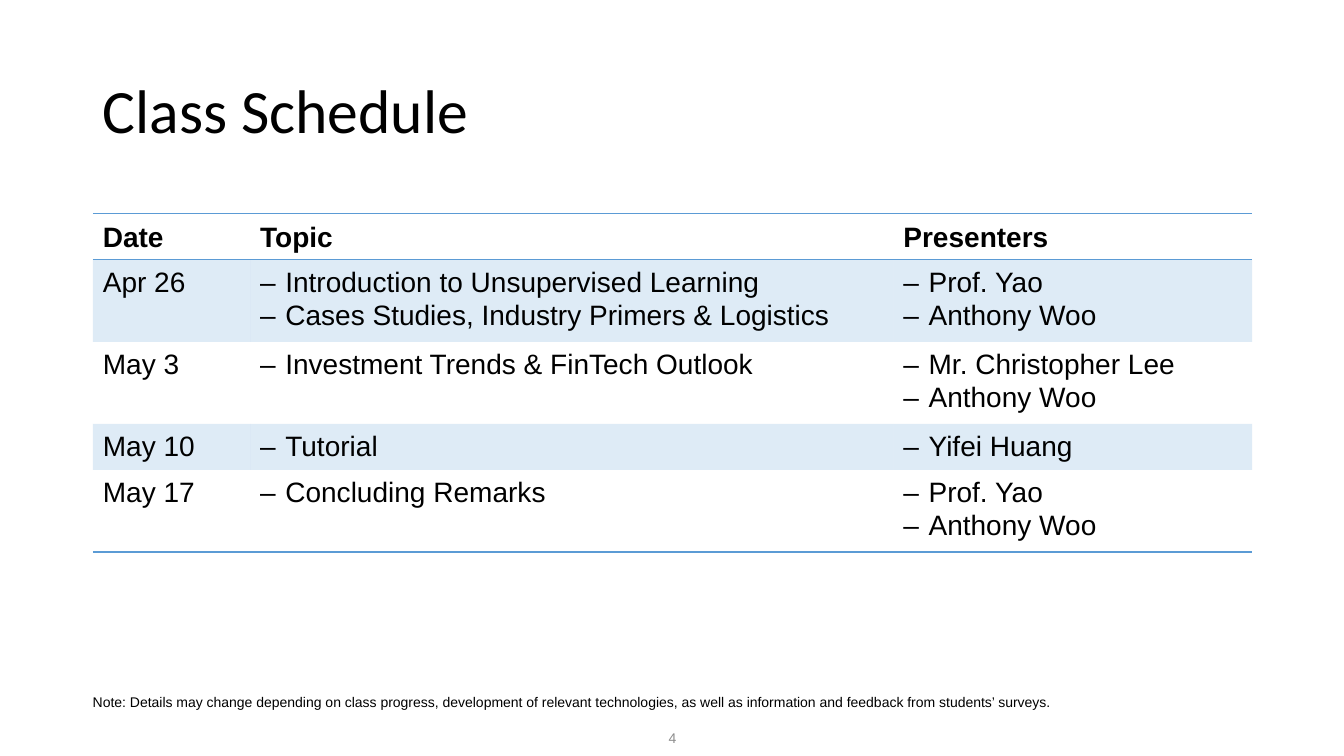
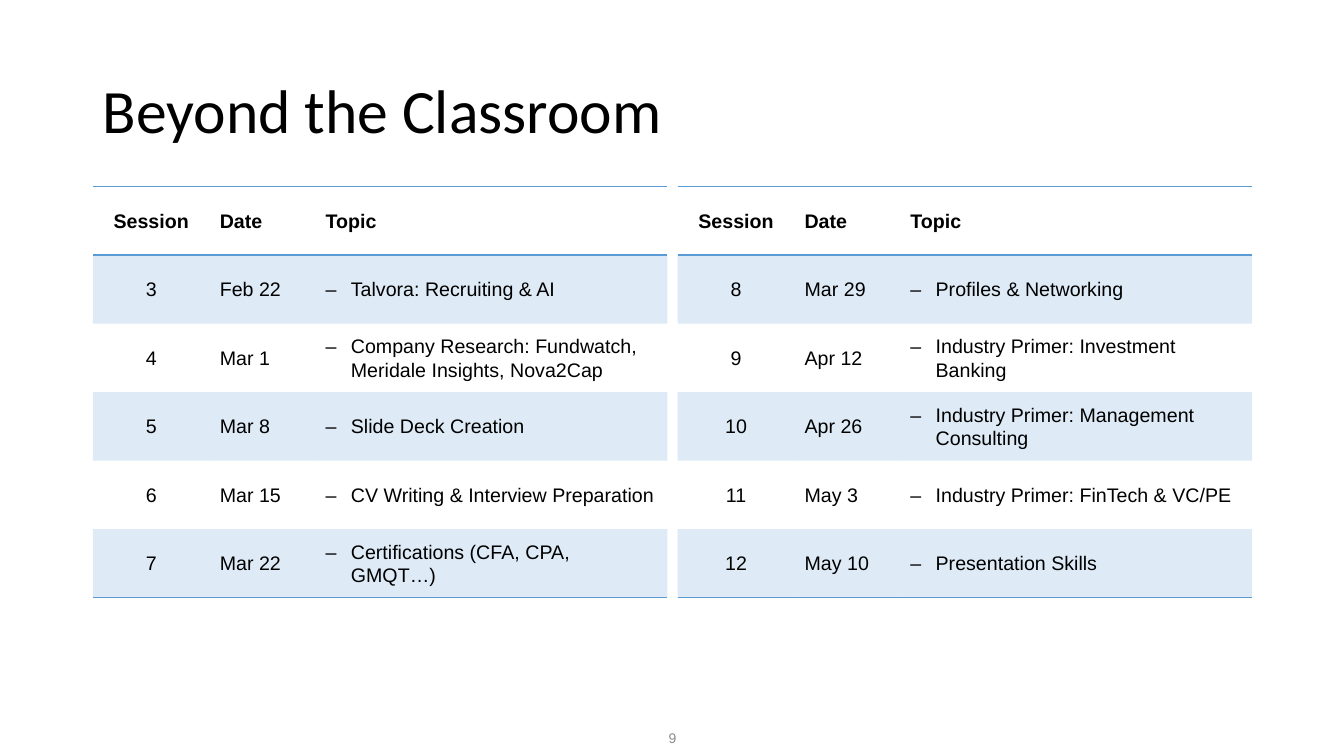
from lxml import etree
from pptx import Presentation
from pptx.dml.color import RGBColor
from pptx.enum.text import MSO_ANCHOR, PP_ALIGN
from pptx.oxml.ns import qn
from pptx.util import Pt

TOP, MIDDLE = MSO_ANCHOR.TOP, MSO_ANCHOR.MIDDLE
LEFT, CENTER = PP_ALIGN.LEFT, PP_ALIGN.CENTER
PX = 9144
BLUE, BLACK, GREY = "5B9BD5", "000000", "8C8C8C"
BODY_FONT, TITLE_FONT = "Arial", "Calibri"
PLAIN_TABLE = "{2D5ABB26-0587-4C30-8999-92F81FD0307C}"
MARGIN, CONTENT_WIDTH = 92, 1150


def emu(px):
    return px * PX


def rgb(value):
    return RGBColor.from_string(value)


class Deck:
    def __init__(self):
        self.prs = Presentation()
        self.prs.slide_width, self.prs.slide_height = emu(1333), emu(750)
        self.slide = None

    def add_slide(self, title, number):
        self.slide = self.prs.slides.add_slide(self.prs.slide_layouts[6])
        self.text(title, (MARGIN, 40, CONTENT_WIDTH, 145), 44, font=TITLE_FONT,
                  anchor=MIDDLE, spacing=0.9)
        self.text(str(number), (517, 710, 300, 40), 10, color=GREY,
                  anchor=MIDDLE, align=CENTER, insets=(10, 5, 10, 0))

    def style(self, paragraph, size, font=BODY_FONT, color=BLACK, bold=False,
              align=LEFT, spacing=1.0):
        paragraph.alignment = align
        paragraph.line_spacing = spacing
        for run in paragraph.runs:
            run.font.size = Pt(size)
            run.font.name = font
            run.font.bold = bold
            run.font.color.rgb = rgb(color)

    def text(self, content, box, size, anchor=TOP, insets=(10, 5, 10, 5), **look):
        frame = self.slide.shapes.add_textbox(*map(emu, box)).text_frame
        frame.word_wrap = True
        frame.vertical_anchor = anchor
        (frame.margin_left, frame.margin_top,
         frame.margin_right, frame.margin_bottom) = map(emu, insets)
        frame.text = content
        self.style(frame.paragraphs[0], size, **look)

    def dash(self, paragraph):
        properties = paragraph._p.get_or_add_pPr()
        properties.set("marL", str(emu(25)))
        properties.set("indent", str(-emu(25)))
        etree.SubElement(properties, qn("a:buFont"), typeface=BODY_FONT)
        etree.SubElement(properties, qn("a:buChar"), char="–")

    def border(self, cell, side):
        line = etree.SubElement(cell._tc.get_or_add_tcPr(), qn("a:" + side),
                                w=str(Pt(1)))
        fill = etree.SubElement(line, qn("a:solidFill"))
        etree.SubElement(fill, qn("a:srgbClr"), val=BLUE)

    def tint(self, cell):
        cell.fill.solid()
        cell.fill.fore_color.rgb = rgb(BLUE)
        color = cell._tc.tcPr.find(qn("a:solidFill")).find(qn("a:srgbClr"))
        etree.SubElement(color, qn("a:alpha"), val="20000")

    def table(self, left, top, widths, heights, rows, size,
              body_anchor=MIDDLE, centered=()):
        table = self.slide.shapes.add_table(
            len(rows), len(widths), emu(left), emu(top),
            emu(sum(widths)), emu(sum(heights))).table
        table._tbl.tblPr.find(qn("a:tableStyleId")).text = PLAIN_TABLE
        for column, width in zip(table.columns, widths):
            column.width = emu(width)
        for r, (values, height) in enumerate(zip(rows, heights)):
            table.rows[r].height = emu(height)
            for c, value in enumerate(values):
                cell = table.cell(r, c)
                header = r == 0
                cell.vertical_anchor = MIDDLE if header else body_anchor
                listed = isinstance(value, list)
                cell.text_frame.text = "\n".join(value) if listed else value
                for paragraph in cell.text_frame.paragraphs:
                    if listed:
                        self.dash(paragraph)
                    self.style(paragraph, size, bold=header, spacing=1.07,
                               align=CENTER if c in centered else LEFT)
                if header:
                    self.border(cell, "lnT")
                if header or r == len(rows) - 1:
                    self.border(cell, "lnB")
                if r % 2:
                    self.tint(cell)
                else:
                    cell.fill.background()


def class_schedule(deck):
    deck.add_slide("Class Schedule", 4)
    schedule = [
        ("Date", "Topic", "Presenters"),
        ("Apr 26", ["Introduction to Unsupervised Learning",
                    "Cases Studies, Industry Primers & Logistics"],
         ["Prof. Yao", "Anthony Woo"]),
        ("May 3", ["Investment Trends & FinTech Outlook"],
         ["Mr. Christopher Lee", "Anthony Woo"]),
        ("May 10", ["Tutorial"], ["Yifei Huang"]),
        ("May 17", ["Concluding Remarks"], ["Prof. Yao", "Anthony Woo"]),
    ]
    deck.table(MARGIN, 212, (156, 638, 356), (23, 39, 23, 23, 23), schedule, 20,
               body_anchor=TOP)
    deck.text("Note: Details may change depending on class progress, development of "
              "relevant technologies, as well as information and feedback from "
              "students’ surveys.",
              (MARGIN, 683, CONTENT_WIDTH, 27), 10, insets=(0, 5, 10, 5))


def beyond_the_classroom(deck):
    deck.add_slide("Beyond the Classroom", 9)
    sessions = [
        ("Feb 22", "Talvora: Recruiting & AI"),
        ("Mar 1", "Company Research: Fundwatch, Meridale Insights, Nova2Cap"),
        ("Mar 8", "Slide Deck Creation"),
        ("Mar 15", "CV Writing & Interview Preparation"),
        ("Mar 22", "Certifications (CFA, CPA, GMQT…)"),
        ("Mar 29", "Profiles & Networking"),
        ("Apr 12", "Industry Primer: Investment Banking"),
        ("Apr 26", "Industry Primer: Management Consulting"),
        ("May 3", "Industry Primer: FinTech & VC/PE"),
        ("May 10", "Presentation Skills"),
    ]
    rows = [(str(number), date, [topic])
            for number, (date, topic) in enumerate(sessions, 3)]
    widths, gap, half = (116, 105, 349), 10, len(rows) // 2
    for side in range(2):
        deck.table(MARGIN + side * (sum(widths) + gap), 185, widths,
                   [68] * (half + 1),
                   [("Session", "Date", "Topic")] + rows[side * half:(side + 1) * half],
                   14, centered=(0,))


def main():
    deck = Deck()
    class_schedule(deck)
    beyond_the_classroom(deck)
    deck.prs.save("out.pptx")


if __name__ == "__main__":
    main()
